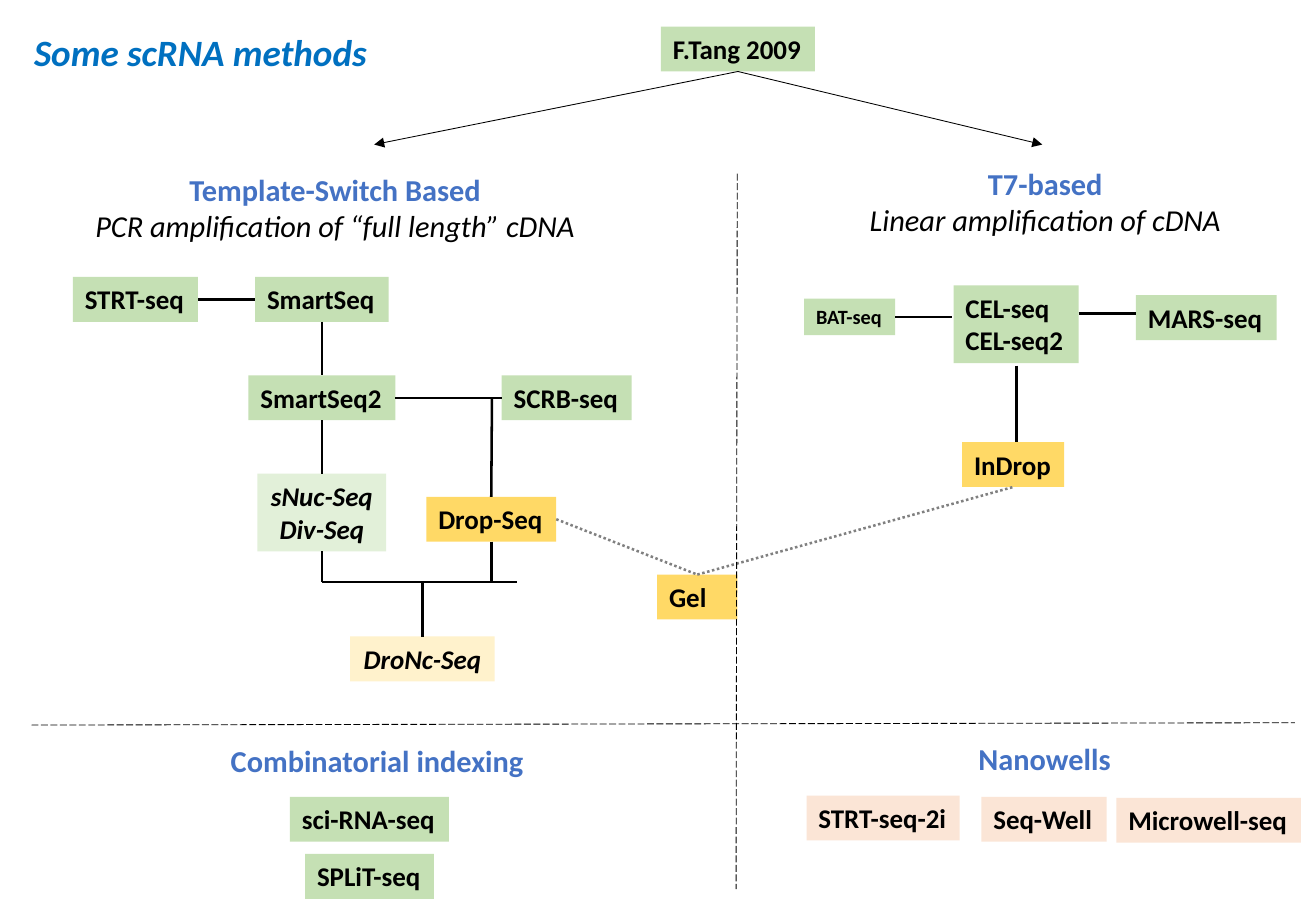
import pptx
import pptx.util
import pptx.dml.color
import pptx.enum.dml
import pptx.enum.shapes
import pptx.enum.text
import pptx.oxml
import pptx.oxml.ns

Pt = pptx.util.Pt
Align = pptx.enum.text.PP_ALIGN
Dash = pptx.enum.dml.MSO_LINE

COLORS = {
    "green": "C5E0B4", "pale green": "E2F0D9", "yellow": "FFD966",
    "pale yellow": "FFF2CC", "peach": "FBE5D6", "black": "000000",
    "gray": "808080", "heading": "4472C4", "title": "0070C0",
}
FONT = "Calibri"
ROW, DOUBLE_ROW, SMALL_ROW = 26.6, 46, 21.6
STEM, JOIN = 190.8, 344.9
TOP, LEFT, BOTTOM, RIGHT = 0, 1, 2, 3

METHODS = [
    ("F.Tang 2009", 437.4, 15.8, 91.4, "green"),
    ("STRT-seq", 80.3, 164.2, 74.2, "green"),
    ("SmartSeq", STEM, 164.2, 79.2, "green"),
    ("SmartSeq2", STEM, 222.5, 87.1, "green"),
    ("SCRB-seq", 335.9, 222.5, 77, "green"),
    ("sNuc-Seq\nDiv-Seq", STEM, 280.8, 76.3, "pale green"),
    ("Drop-Seq", 291.2, 294.5, 77, "yellow"),
    ("Gel", 413.3, 340.6, 47.5, "yellow"),
    ("DroNc-Seq", 250.4, 377.3, 85.7, "pale yellow"),
    ("BAT-seq", 503.6, 177.1, 54, "green"),
    ("CEL-seq\nCEL-seq2", 602.3, 169.2, 74.2, "green"),
    ("MARS-seq", 715, 175, 83.5, "green"),
    ("InDrop", 600.5, 262.1, 60.5, "yellow"),
    ("sci-RNA-seq", 219, 472.3, 94.3, "green"),
    ("SPLiT-seq", 219, 506.2, 76.3, "green"),
    ("STRT-seq-2i", 523.4, 471.6, 90.7, "peach"),
    ("Seq-Well", 618.8, 472.3, 74.2, "peach"),
    ("Microwell-seq", 716.4, 473, 109.4, "peach"),
]
ITALIC_METHODS = {"sNuc-Seq\nDiv-Seq", "DroNc-Seq"}
SMALL_METHODS = {"BAT-seq"}

HEADINGS = [
    ("Template-Switch Based", "PCR amplification of “full length” cDNA", 198.7, 97.9, 302.4),
    ("T7-based", "Linear amplification of cDNA", 619.6, 94.3, 225.4),
    ("Combinatorial indexing", "", 223.6, 436.3, 189.4),
    ("Nanowells", "", 619.2, 434.9, 93.6),
]
TITLE = ("Some scRNA methods", 120, 13.7, 213.8)

LINKS = [
    (("STRT-seq", RIGHT), ("SmartSeq", LEFT)),
    (("SmartSeq", BOTTOM), ("SmartSeq2", TOP)),
    (("SmartSeq2", BOTTOM), ("sNuc-Seq\nDiv-Seq", TOP)),
    (("SmartSeq2", RIGHT), ("SCRB-seq", LEFT)),
    (("Drop-Seq", TOP), (291.6, 235.8)),
    (("sNuc-Seq\nDiv-Seq", BOTTOM), (STEM, JOIN)),
    (("Drop-Seq", BOTTOM), (291.2, JOIN)),
    ((STEM, JOIN), (306.7, JOIN)),
    ((250.4, JOIN), ("DroNc-Seq", TOP)),
    (("BAT-seq", RIGHT), (564.5, 187.9)),
    ((639.4, 185.8), (673.2, 185.8)),
    ((602.6, 216.7), (602.6, 262.1)),
]
DOTTED_LINKS = [
    (("Drop-Seq", RIGHT), ("Gel", TOP)),
    (("Gel", TOP), ("InDrop", BOTTOM)),
]
ORIGIN_ARROWS = [
    (("F.Tang 2009", BOTTOM), (221.8, 85.7)),
    (("F.Tang 2009", BOTTOM), (617.8, 85.7)),
]
DIVIDERS = [
    ((437, 103), (436.3, 527)),
    ((18.7, 429.8), (767.5, 428.4)),
]


def rgb(color):
    return pptx.dml.color.RGBColor.from_string(COLORS[color])


def write(holder, lines, align, wrap=False):
    frame = holder.text_frame
    frame.word_wrap = wrap
    frame.auto_size = pptx.enum.text.MSO_AUTO_SIZE.SHAPE_TO_FIT_TEXT
    frame.vertical_anchor = pptx.enum.text.MSO_ANCHOR.TOP
    for number, (text, size, color, bold, italic) in enumerate(lines):
        paragraph = frame.add_paragraph() if number else frame.paragraphs[0]
        paragraph.text = text
        paragraph.alignment = align
        paragraph.font.name = FONT
        paragraph.font.size = Pt(size)
        paragraph.font.bold = bold
        paragraph.font.italic = italic
        paragraph.font.color.rgb = rgb(color)


def add_method(slide, label, center, top, width, fill):
    size = 12 if label in SMALL_METHODS else 16
    height = SMALL_ROW if size == 12 else DOUBLE_ROW if "\n" in label else ROW
    method = slide.shapes.add_shape(
        pptx.enum.shapes.MSO_SHAPE.RECTANGLE,
        Pt(center - width / 2), Pt(top), Pt(width), Pt(height))
    method.shadow.inherit = False
    method.fill.solid()
    method.fill.fore_color.rgb = rgb(fill)
    method.line.fill.background()
    italic = label in ITALIC_METHODS
    lines = [(text, size, "black", True, italic) for text in label.split("\n")]
    write(method, lines, Align.CENTER if italic else Align.LEFT, label == "Gel")
    return method


def add_heading(slide, lines, center, top, width, height, align):
    heading = slide.shapes.add_textbox(
        Pt(center - width / 2), Pt(top), Pt(width), Pt(height))
    write(heading, lines, align)


def add_link(slide, methods, start, end, width=1.5, color="black", dash=None, arrow=False):
    link = slide.shapes.add_connector(pptx.enum.shapes.MSO_CONNECTOR.STRAIGHT, 0, 0, 0, 0)
    if start[0] in methods:
        link.begin_connect(methods[start[0]], start[1])
    else:
        link.begin_x, link.begin_y = Pt(start[0]), Pt(start[1])
    if end[0] in methods:
        link.end_connect(methods[end[0]], end[1])
    else:
        link.end_x, link.end_y = Pt(end[0]), Pt(end[1])
    link.line.width = Pt(width)
    link.line.color.rgb = rgb(color)
    if dash:
        link.line.dash_style = dash
    properties = link._element.spPr
    if arrow:
        head = pptx.oxml.parse_xml(
            f'<a:tailEnd {pptx.oxml.ns.nsdecls("a")} type="triangle"/>')
        properties.find(pptx.oxml.ns.qn("a:ln")).append(head)
    properties.append(pptx.oxml.parse_xml(f'<a:effectLst {pptx.oxml.ns.nsdecls("a")}/>'))


def main():
    deck = pptx.Presentation()
    deck.slide_width, deck.slide_height = Pt(780), Pt(540)
    slide = deck.slides.add_slide(deck.slide_layouts[6])

    methods = {method[0]: add_method(slide, *method) for method in METHODS}

    for topic, detail, center, top, width in HEADINGS:
        lines = [(topic, 18, "heading", True, False)]
        if detail:
            lines.append((detail, 18, "black", False, True))
        add_heading(slide, lines, center, top, width, 51 if detail else 29, Align.CENTER)
    title, center, top, width = TITLE
    add_heading(slide, [(title, 22, "title", True, True)], center, top, width, 34, Align.LEFT)

    for start, end in LINKS:
        add_link(slide, methods, start, end)
    for start, end in DOTTED_LINKS:
        add_link(slide, methods, start, end, color="gray", dash=Dash.ROUND_DOT)
    for start, end in ORIGIN_ARROWS:
        add_link(slide, methods, start, end, width=0.5, arrow=True)
    for start, end in DIVIDERS:
        add_link(slide, methods, start, end, width=0.5, dash=Dash.LONG_DASH)

    deck.save("out.pptx")


if __name__ == "__main__":
    main()
